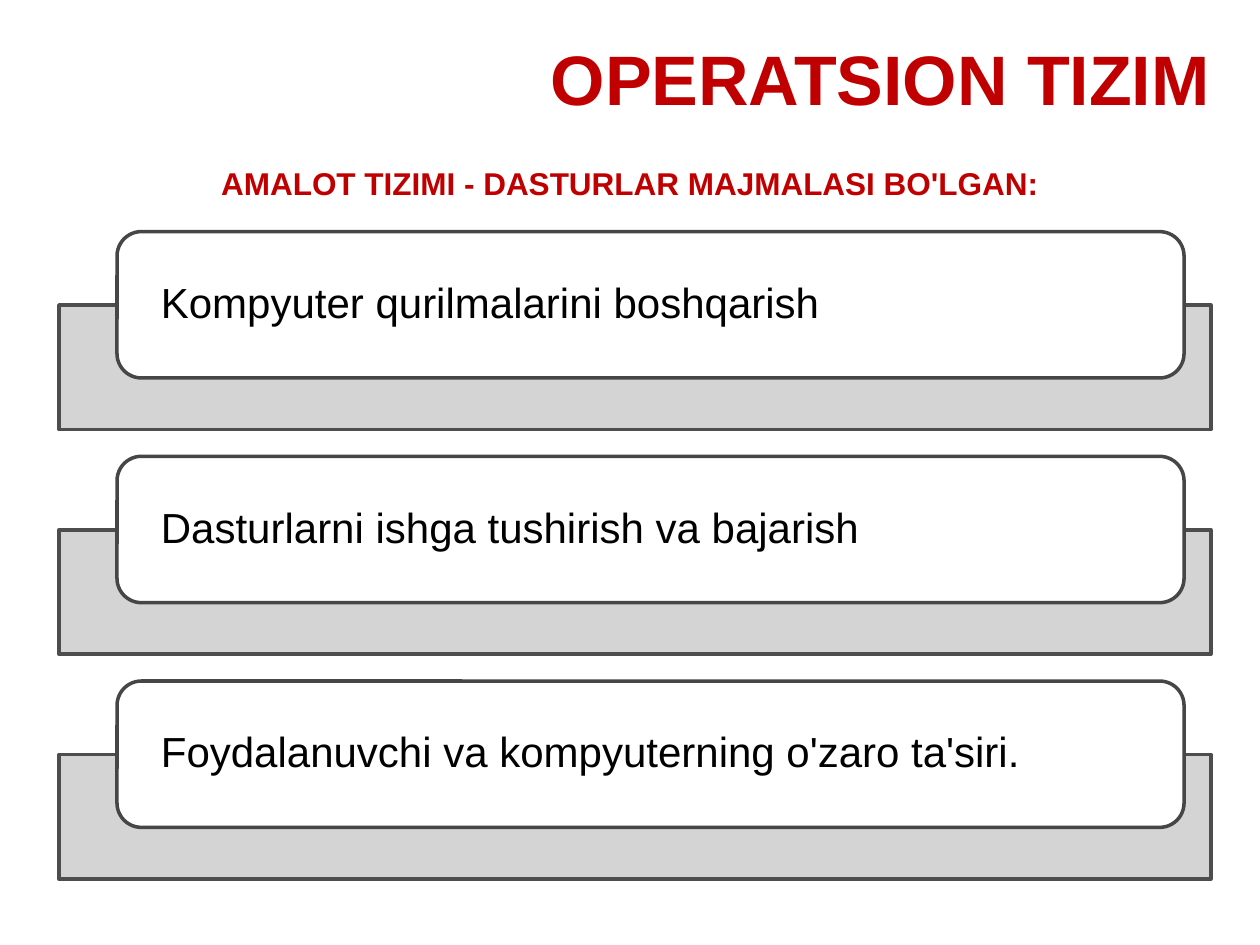
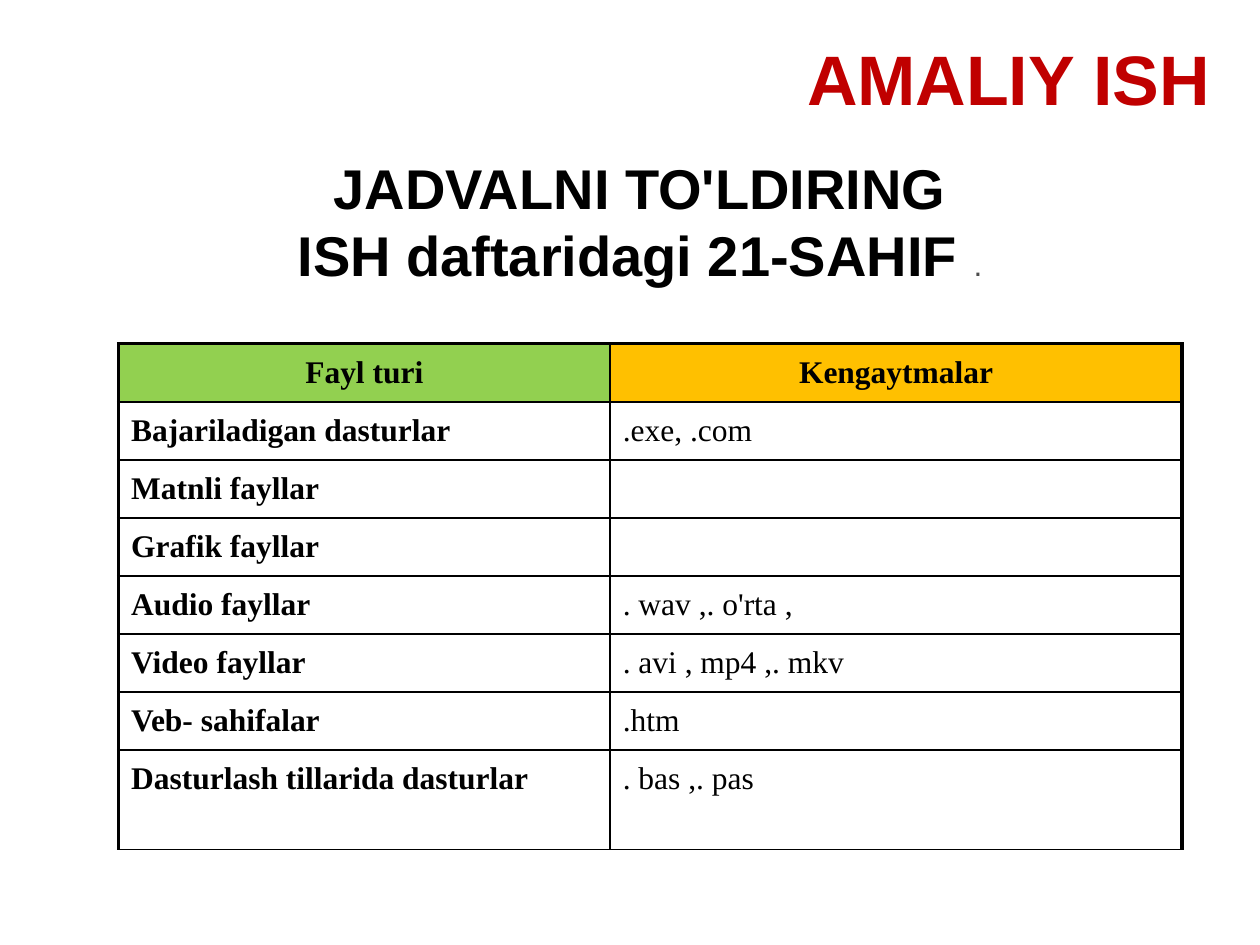
import pptx
import pptx.util
import pptx.dml.color
import pptx.enum.shapes
import pptx.enum.text
import pptx.oxml.ns
from lxml import etree

Cm, Pt = pptx.util.Cm, pptx.util.Pt
ALIGN = pptx.enum.text.PP_ALIGN
ANCHOR = pptx.enum.text.MSO_ANCHOR
FORMS = pptx.enum.shapes.MSO_SHAPE

# Content
TITLES = ["OPERATSION TIZIM", "AMALIY ISH"]
LEAD = "AMALOT TIZIMI - DASTURLAR MAJMALASI BO'LGAN:"
TASKS = [
    "Kompyuter qurilmalarini boshqarish",
    "Dasturlarni ishga tushirish va bajarish",
    "Foydalanuvchi va kompyuterning o'zaro ta'siri.",
]
ORDER = ["JADVALNI TO'LDIRING", "ISH daftaridagi 21-SAHIF "]
HEADS = ["Fayl turi", "Kengaytmalar"]
FILES = [
    ("Bajariladigan dasturlar", ".exe, .com"),
    ("Matnli fayllar", ""),
    ("Grafik fayllar", ""),
    ("Audio fayllar", ". wav ,. o'rta ,"),
    ("Video fayllar", ". avi , mp4 ,. mkv"),
    ("Veb- sahifalar", ".htm"),
    ("Dasturlash tillarida dasturlar", ". bas ,. pas"),
]

# Shared formats
RED, BLACK, GREY = "C00000", "000000", "4D4D4D"
TITLE = dict(name="Arial", size=Pt(40), bold=True)
SUB = dict(name="Arial", size=Pt(18), bold=True)
BIG = dict(name="Arial", size=Pt(32), bold=True)
DOT = dict(name="Arial", size=Pt(18), bold=False)
BODY = dict(name="Arial", size=Pt(24), bold=False)
CELL = dict(name="Times New Roman", size=Pt(18))
CARD = dict(word_wrap=True, vertical_anchor=ANCHOR.MIDDLE,
            margin_left=Cm(0.74), margin_right=Cm(0.74),
            margin_top=0, margin_bottom=0)


def hue(code):
    return pptx.dml.color.RGBColor.from_string(code)


def put(thing, form):
    for key, value in form.items():
        setattr(thing, key, value)


def write(para, text, font, color, **form):
    put(para, form)
    run = para.add_run()
    run.text = text
    put(run.font, font)
    run.font.color.rgb = hue(color)


def frame(slide, box, **form):
    text = slide.shapes.add_textbox(*map(Cm, box)).text_frame
    put(text, dict(word_wrap=True, **form))
    return text


def block(slide, kind, box, fill, line):
    shape = slide.shapes.add_shape(kind, *map(Cm, box))
    shape.shadow.inherit = False
    shape.fill.solid()
    shape.fill.fore_color.rgb = hue(fill)
    shape.line.color.rgb = hue(line)
    shape.line.width = Pt(2)
    return shape


def node(root, tag, **attrs):
    return etree.SubElement(root, pptx.oxml.ns.qn(tag), attrs)


def fade(shape, part):
    color = shape.fill._xPr.find(".//" + pptx.oxml.ns.qn("a:srgbClr"))
    node(color, "a:alpha", val=str(part * 1000))


def edge(cell, sides):
    props = cell._tc.get_or_add_tcPr()
    for side, width in sides.items():
        line = node(props, "a:ln" + side, w=str(Pt(width)))
        node(node(line, "a:solidFill"), "a:srgbClr", val=BLACK)


def page(deck, title):
    slide = deck.slides.add_slide(deck.slide_layouts[6])
    text = frame(slide, (0, 0.79, 24.64, 2.39))
    write(text.paragraphs[0], title, TITLE, RED, alignment=ALIGN.RIGHT,
          line_spacing=0.9, space_before=Pt(3))
    return slide


def tasks(slide):
    # Grey bands, each with a card on top
    for i, task in enumerate(TASKS):
        drop = i * 4.53
        band = block(slide, FORMS.RECTANGLE,
                     (1.19, 6.15 + drop, 23.22, 2.51), "D0D0D0", GREY)
        fade(band, 90)
        card = block(slide, FORMS.ROUNDED_RECTANGLE,
                     (2.36, 4.67 + drop, 21.51, 2.95), "FFFFFF", "464646")
        put(card.text_frame, CARD)
        write(card.text_frame.paragraphs[0], task, BODY, BLACK,
              alignment=ALIGN.LEFT, line_spacing=0.9)
    # Lead line
    text = frame(slide, (0, 3.18, 25.4, 1.02), vertical_anchor=ANCHOR.MIDDLE)
    write(text.paragraphs[0], LEAD, SUB, RED, alignment=ALIGN.CENTER)


def files(slide):
    # Heading
    text = frame(slide, (1.19, 2.97, 23.42, 3))
    for i, line in enumerate(ORDER):
        para = text.add_paragraph() if i else text.paragraphs[0]
        write(para, line, BIG, BLACK, alignment=ALIGN.CENTER)
    write(para, ".", DOT, GREY)

    # Table of file types
    rows = [HEADS] + FILES
    wide, high = (9.91, 11.53), [1.17] * len(FILES) + [2]
    box = (2.39, 6.93, sum(wide), sum(high))
    table = slide.shapes.add_table(len(rows), 2, *map(Cm, box)).table
    for col, size in zip(table.columns, wide):
        col.width = Cm(size)
    for r, (row, size) in enumerate(zip(rows, high)):
        table.rows[r].height = Cm(size)
        for c, word in enumerate(row):
            cell = table.cell(r, c)
            edge(cell, dict(L=1 if c else 2.25, R=2.25 if c else 1,
                            T=1 if r else 2.25, B=1))
            if r:
                cell.fill.background()
            else:
                cell.fill.solid()
                cell.fill.fore_color.rgb = hue(("92D050", "FFC000")[c])
            if word:
                write(cell.text_frame.paragraphs[0], word,
                      dict(CELL, bold=r == 0 or c == 0), BLACK,
                      alignment=ALIGN.LEFT if r else ALIGN.CENTER,
                      line_spacing=1.15)


def main():
    deck = pptx.Presentation()
    put(deck, dict(slide_width=Cm(25.4), slide_height=Cm(19.05)))
    for title, fill in zip(TITLES, (tasks, files)):
        fill(page(deck, title))
    deck.save("out.pptx")


if __name__ == "__main__":
    main()
